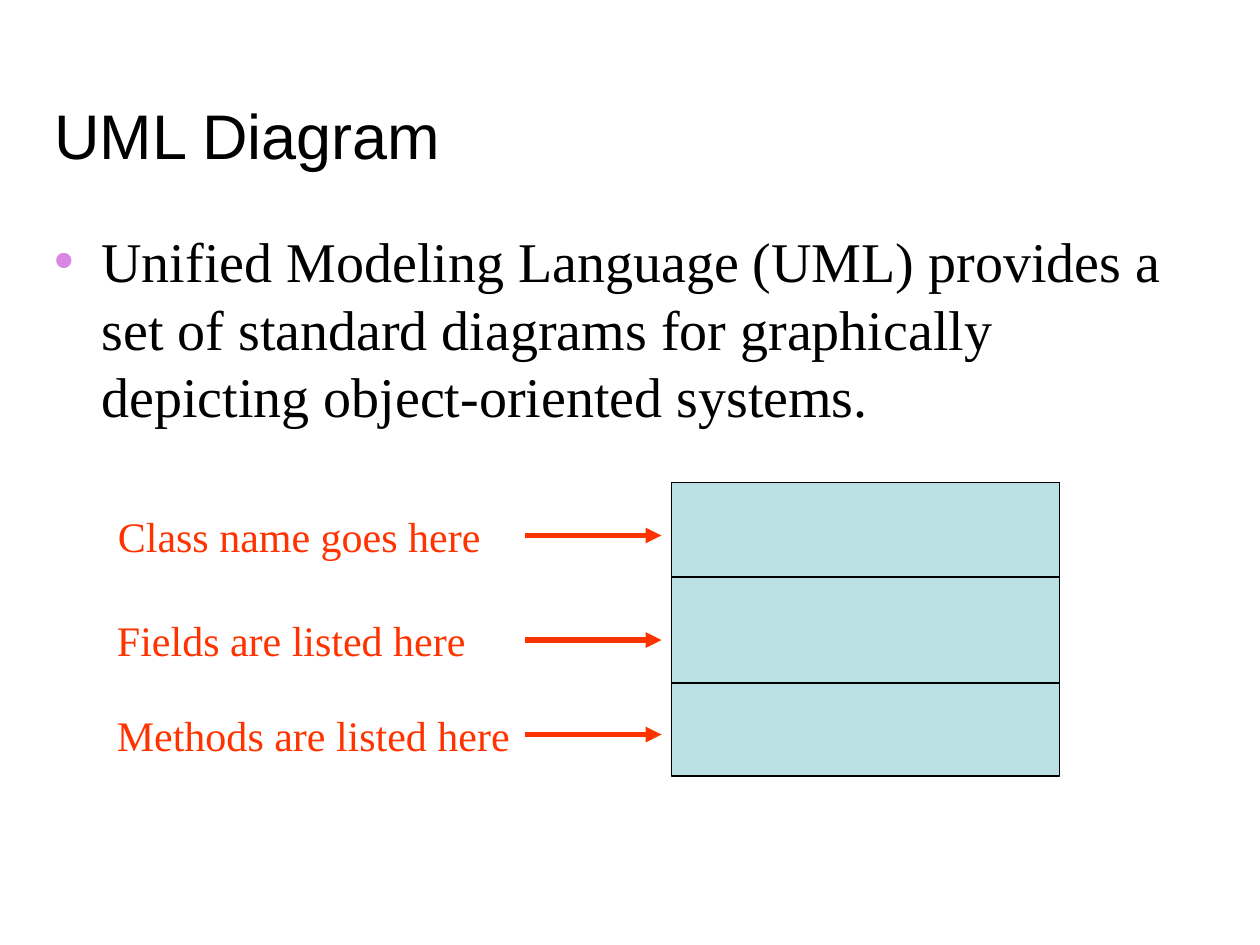
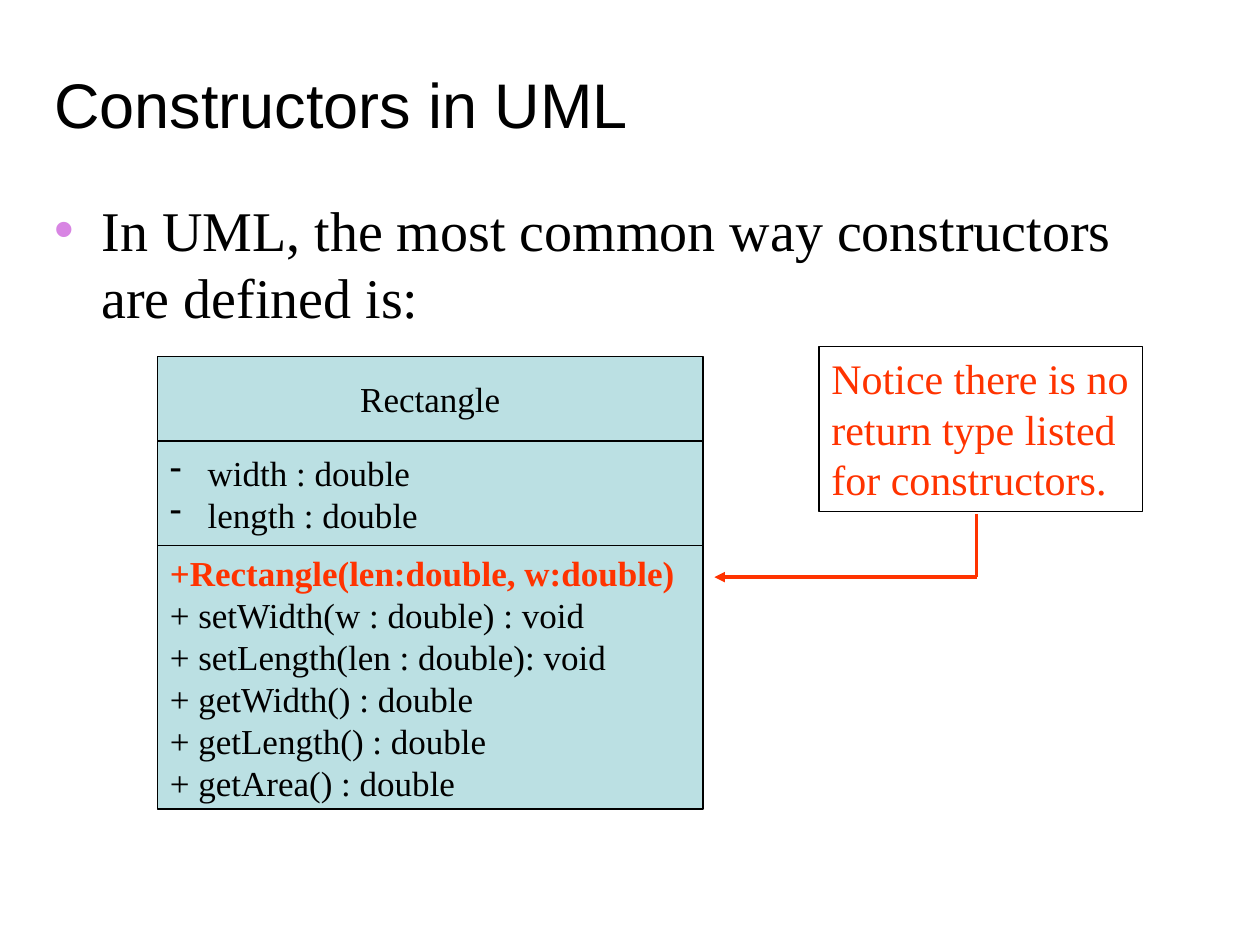
import itertools

import lxml.etree
import pptx
import pptx.dml.color
import pptx.enum.shapes
import pptx.enum.text
import pptx.oxml.ns
import pptx.util

Inches = pptx.util.Inches
RGBColor = pptx.dml.color.RGBColor
ALIGN = pptx.enum.text.PP_ALIGN
ANCHOR = pptx.enum.text.MSO_ANCHOR
AUTO_SIZE = pptx.enum.text.MSO_AUTO_SIZE

BLACK = RGBColor(0x00, 0x00, 0x00)
RED = RGBColor(0xFF, 0x33, 0x00)
CLASS_FILL = RGBColor(0xBB, 0xE0, 0xE3)
BULLET_COLOR = "D885E3"
TITLE_FONT, BODY_FONT = "Arial", "Times New Roman"

# Title, title top, statement, statement top
INTRO = ("UML Diagram", 0.33,
         "Unified Modeling Language (UML) provides a set of standard "
         "diagrams for graphically depicting object-oriented systems.", 1.75)
CONSTRUCTORS = ("Constructors in UML", 0.08,
                "In UML, the most common way constructors are defined is:", 1.5)

# Label, left, top, width, alignment
SECTION_LABELS = [
    ("Class name goes here", 0.75, 4.0, 3.25, ALIGN.CENTER),
    ("Fields are listed here", 0.83, 4.83, 3.25, ALIGN.LEFT),
    ("Methods are listed here", 0.83, 5.58, 3.33, ALIGN.LEFT),
]
EMPTY_CLASS = (5.33, 3.83, 3.08, 2.33)
EMPTY_CLASS_DIVIDERS = [4.58, 5.42]

CLASS_NAME = ["Rectangle"]
FIELDS = ["width : double", "length : double"]
METHODS = [
    "+Rectangle(len:double, w:double)",
    "+ setWidth(w : double) : void",
    "+ setLength(len : double): void",
    "+ getWidth() : double",
    "+ getLength() : double",
    "+ getArea() : double",
]
CLASS_LEFT, CLASS_WIDTH = 1.25, 4.33
COMPARTMENT_EDGES = [2.83, 3.5, 4.33, 6.42]
NOTICE = ["Notice there is no", "return type listed", "for constructors."]


def add_xml(parent, tag, **attributes):
    return lxml.etree.SubElement(parent, pptx.oxml.ns.qn(tag), attributes)


def write(frame, lines, size, color=BLACK, font=BODY_FONT, align=ALIGN.LEFT):
    frame.text = "\n".join(lines)
    for paragraph in frame.paragraphs:
        paragraph.alignment = align
        for run in paragraph.runs:
            run.font.name = font
            run.font.size = pptx.util.Pt(size)
            run.font.color.rgb = color


def place(shape, left, top, width, height):
    shape.left, shape.top = Inches(left), Inches(top)
    shape.width, shape.height = Inches(width), Inches(height)


def add_topic(deck, title, title_top, statement, statement_top):
    """Add a slide with its title and one bulleted statement."""
    slide = deck.slides.add_slide(deck.slide_layouts[1])
    heading, body = slide.placeholders

    place(heading, 0.33, title_top, 9.42, 1.09)
    write(heading.text_frame, [title], 36, font=TITLE_FONT)
    heading.text_frame.vertical_anchor = ANCHOR.BOTTOM
    heading.text_frame.auto_size = AUTO_SIZE.NONE

    place(body, 0.33, statement_top, 9.07, 5)
    write(body.text_frame, [statement], 32)
    body.text_frame.margin_right = 0
    body.text_frame.auto_size = AUTO_SIZE.NONE
    properties = body.text_frame.paragraphs[0]._p.get_or_add_pPr()
    add_xml(add_xml(properties, "a:buClr"), "a:srgbClr", val=BULLET_COLOR)
    return slide


def add_box(slide, left, top, width, height, fill=None):
    box = slide.shapes.add_shape(
        pptx.enum.shapes.MSO_SHAPE.RECTANGLE,
        Inches(left), Inches(top), Inches(width), Inches(height))
    box.shadow.inherit = False
    if fill is None:
        box.fill.background()
    else:
        box.fill.solid()
        box.fill.fore_color.rgb = fill
    box.line.color.rgb = BLACK
    box.line.width = pptx.util.Pt(0.75)
    return box


def add_line(slide, start, end, color, width, arrow=False):
    line = slide.shapes.add_connector(
        pptx.enum.shapes.MSO_CONNECTOR.STRAIGHT,
        *(Inches(value) for value in start + end))
    line.line.color.rgb = color
    line.line.width = pptx.util.Pt(width)
    properties = line.element.spPr
    if arrow:
        add_xml(properties.find(pptx.oxml.ns.qn("a:ln")), "a:tailEnd", type="triangle")
    add_xml(properties, "a:effectLst")


def build_intro(deck):
    slide = add_topic(deck, *INTRO)
    left, _, width, _ = EMPTY_CLASS
    add_box(slide, *EMPTY_CLASS, fill=CLASS_FILL)
    for y in EMPTY_CLASS_DIVIDERS:
        add_line(slide, (left, y), (left + width, y), BLACK, 0.75)

    for text, label_left, top, label_width, align in SECTION_LABELS:
        label = slide.shapes.add_textbox(
            Inches(label_left), Inches(top), Inches(label_width), Inches(0.5))
        label.text_frame.word_wrap = True
        write(label.text_frame, [text], 24, RED, align=align)
        arrow_y = top + 0.25
        add_line(slide, (4.17, arrow_y), (5.25, arrow_y), RED, 3, arrow=True)


def build_constructors(deck):
    slide = add_topic(deck, *CONSTRUCTORS)
    compartments = []
    edges = itertools.pairwise(COMPARTMENT_EDGES)
    for lines, (top, bottom) in zip([CLASS_NAME, FIELDS, METHODS], edges):
        box = add_box(slide, CLASS_LEFT, top, CLASS_WIDTH, bottom - top, CLASS_FILL)
        box.text_frame.vertical_anchor = ANCHOR.MIDDLE
        box.text_frame.word_wrap = True
        write(box.text_frame, lines, 20)
        compartments.append(box.text_frame)

    class_name, fields, methods = compartments
    class_name.paragraphs[0].alignment = ALIGN.CENTER
    for field in fields.paragraphs:
        properties = field._p.get_or_add_pPr()
        properties.set("marL", str(Inches(0.3)))
        properties.set("indent", str(-Inches(0.3)))
        add_xml(properties, "a:buChar", char="-")
    constructor = methods.paragraphs[0].runs[0].font
    constructor.bold = True
    constructor.color.rgb = RED

    notice = add_box(slide, 6.5, 2.75, 2.57, 1.31)
    notice.text_frame.word_wrap = False
    notice.text_frame.vertical_anchor = ANCHOR.TOP
    write(notice.text_frame, NOTICE, 24, RED)
    corner = (7.75, 4.58)
    add_line(slide, corner, (5.67, 4.58), RED, 2, arrow=True)
    add_line(slide, (7.75, 4.08), corner, RED, 2)


def main():
    deck = pptx.Presentation()
    deck.slide_width, deck.slide_height = Inches(10), Inches(7.5)
    build_intro(deck)
    build_constructors(deck)
    deck.save("out.pptx")


if __name__ == "__main__":
    main()
